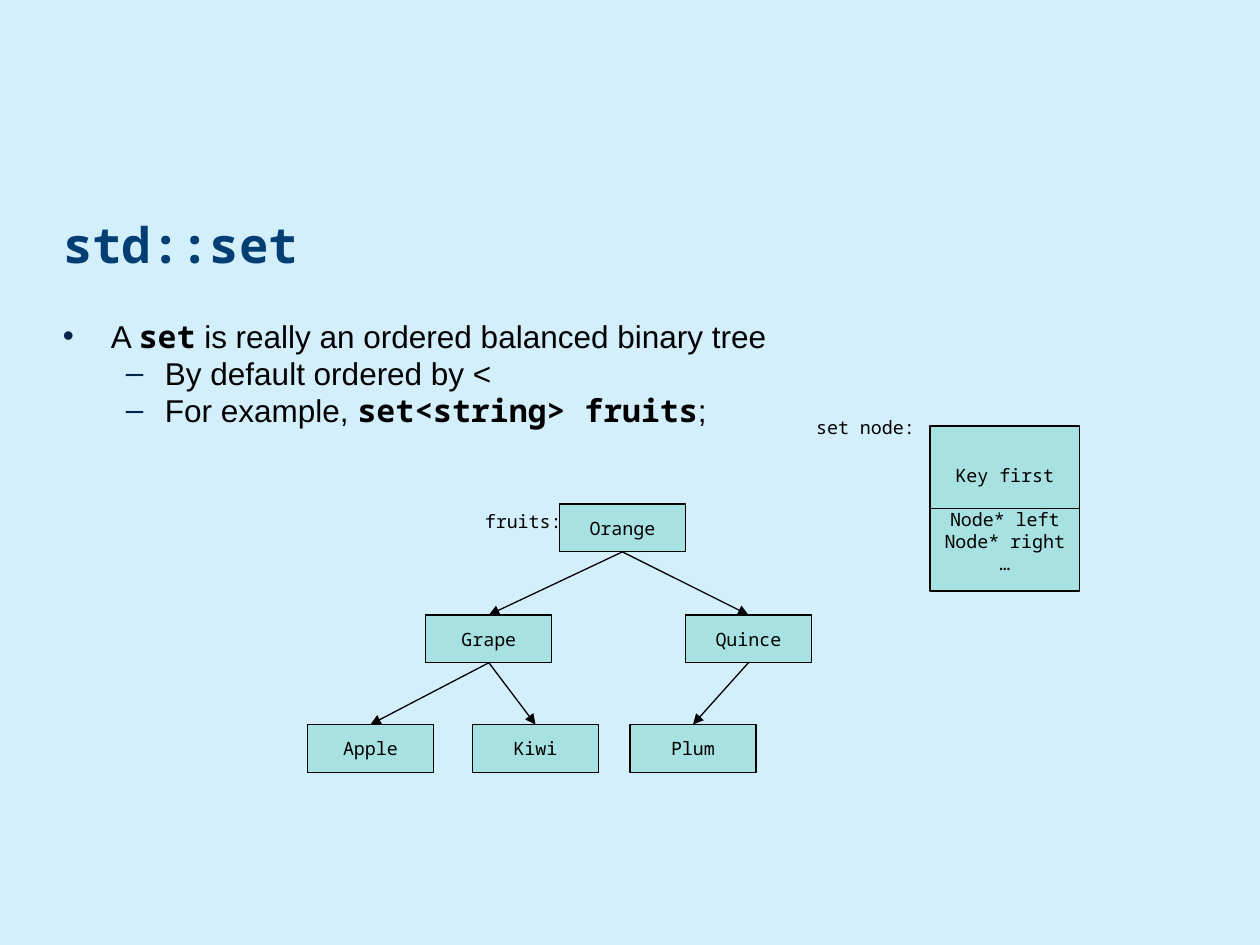
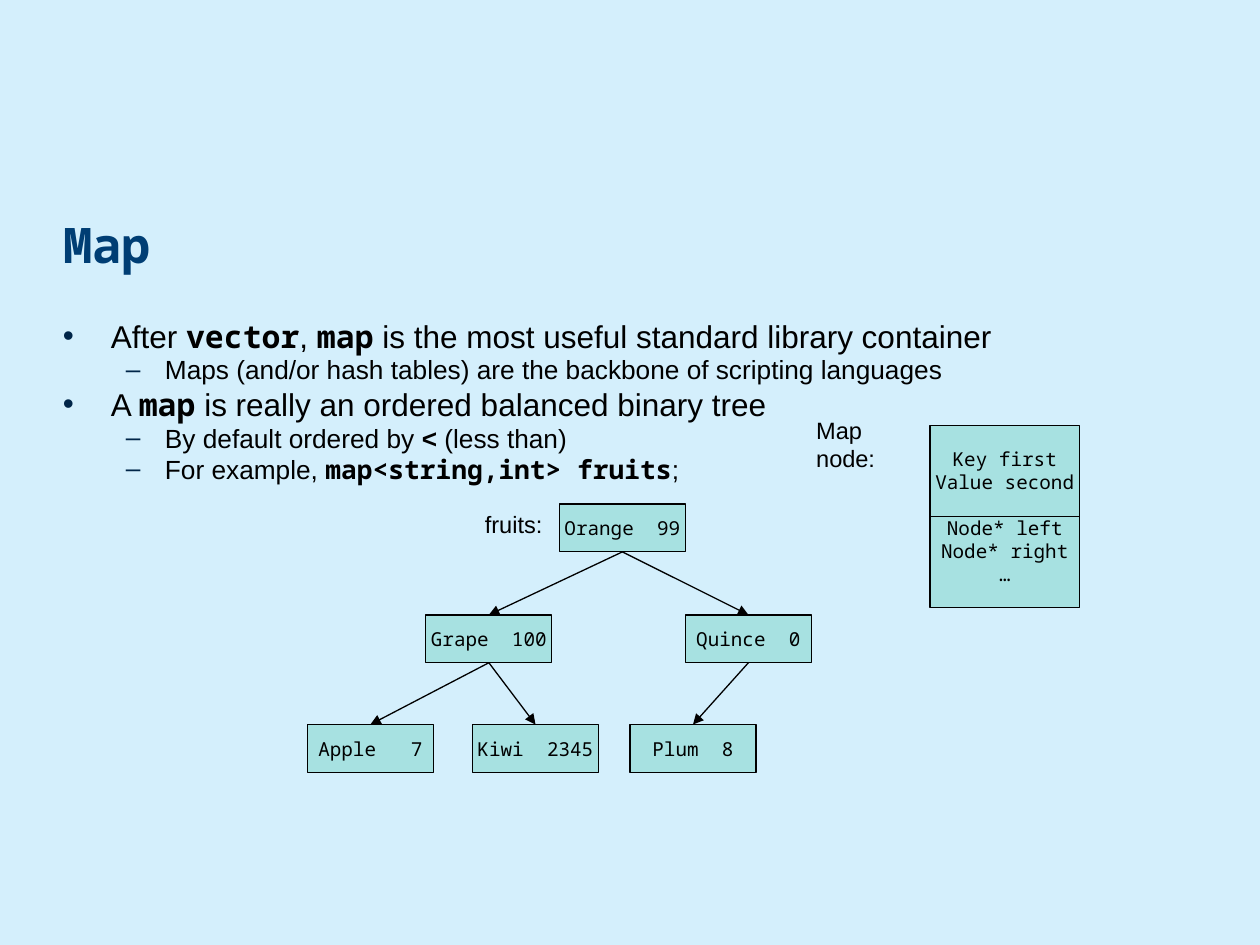
from lxml import etree
from pptx import Presentation
from pptx.dml.color import RGBColor
from pptx.enum.shapes import MSO_CONNECTOR, MSO_SHAPE
from pptx.enum.text import MSO_ANCHOR, MSO_AUTO_SIZE, PP_ALIGN
from pptx.oxml.ns import qn
from pptx.util import Inches, Pt

SKY, TEAL, NAVY, INK, BLACK = "D4EFFC", "A7E1E1", "003E74", "002548", "000000"
SANS, MONO = "Arial", "Noto Sans Mono"
MONO_ADVANCE = 0.6
TOP, LEFT, BOTTOM, RIGHT = 0, 1, 2, 3

PLAIN = {}
CODE = {"font": MONO, "bold": True}
STRONG = {"bold": True}

BULLETS = [("•", 0.38, 0.38), ("–", 0.81, 0.31)]
NODE_WIDTH, NODE_HEIGHT = 1, 0.38
TREE = {
    "Orange": (4.44, 4),
    "Plum": (5, 5.75),
    "Kiwi": (3.75, 5.75),
    "Apple": (2.44, 5.75),
    "Quince": (5.44, 4.88),
    "Grape": (3.38, 4.88),
}
BRANCHES = [
    ("Orange", "Grape"),
    ("Orange", "Quince"),
    ("Quince", "Plum"),
    ("Grape", "Kiwi"),
    ("Grape", "Apple"),
]
COUNTS = {
    "Orange": ("99", 2),
    "Plum": ("8", 2),
    "Kiwi": ("2345", 2),
    "Apple": ("7", 3),
    "Quince": ("0", 2),
    "Grape": ("100", 2),
}


def color(hex_string):
    return RGBColor.from_string(hex_string)


def write(paragraph, text, size, font=SANS, ink=BLACK, bold=False, spacing=0):
    run = paragraph.add_run()
    run.text = text
    run.font.size = Pt(size)
    run.font.name = font
    run.font.bold = bold
    run.font.color.rgb = color(ink)
    if spacing:
        run.font._element.set("spc", str(round(spacing * 100)))


def set_margins(frame, top=0):
    frame.margin_left = frame.margin_right = frame.margin_bottom = 0
    frame.margin_top = Inches(top)


def next_paragraph(frame, index):
    return frame.add_paragraph() if index else frame.paragraphs[0]


def add_titled_slide(prs, heading):
    slide = prs.slides.add_slide(prs.slide_layouts[5])
    title = slide.shapes.title
    title.left, title.top = Inches(0.5), Inches(1.63)
    title.width, title.height = Inches(9), Inches(0.56)
    frame = title.text_frame
    set_margins(frame, top=0.05)
    frame.vertical_anchor = MSO_ANCHOR.MIDDLE
    frame.paragraphs[0].alignment = PP_ALIGN.LEFT
    write(frame.paragraphs[0], heading, 28, ink=NAVY, **CODE)
    return slide


def set_bullet(paragraph, level):
    mark, margin, hanging = BULLETS[level]
    paragraph.level = level
    properties = paragraph._p.get_or_add_pPr()
    properties.set("marL", str(Inches(margin)))
    properties.set("indent", str(-Inches(hanging)))
    tint = etree.SubElement(properties, qn("a:buClr"))
    etree.SubElement(tint, qn("a:srgbClr"), val=INK)
    etree.SubElement(properties, qn("a:buFont"), typeface=SANS)
    etree.SubElement(properties, qn("a:buChar"), char=mark)


def add_points(slide, points):
    body = slide.shapes.add_textbox(Inches(0.5), Inches(2.57), Inches(9), Inches(3.99))
    frame = body.text_frame
    frame.word_wrap = True
    set_margins(frame)
    for index, (level, size, pieces) in enumerate(points):
        point = next_paragraph(frame, index)
        set_bullet(point, level)
        point.line_spacing = 0.8
        if index:
            point.space_before = Pt(round(size * 0.22, 1))
        for text, style in pieces:
            write(point, text, size, **style)


def add_box(slide, left, top, width, height):
    box = slide.shapes.add_shape(
        MSO_SHAPE.RECTANGLE, Inches(left), Inches(top), Inches(width), Inches(height))
    box.shadow.inherit = False
    box.fill.solid()
    box.fill.fore_color.rgb = color(TEAL)
    box.line.color.rgb = color(BLACK)
    box.line.width = Pt(0.75)
    box.text_frame.word_wrap = False
    box.text_frame.vertical_anchor = MSO_ANCHOR.MIDDLE
    box.text_frame.paragraphs[0].alignment = PP_ALIGN.CENTER
    return box


def add_label(slide, text, left, top, width, height, size, font):
    label = slide.shapes.add_textbox(
        Inches(left), Inches(top), Inches(width), Inches(height))
    frame = label.text_frame
    frame.word_wrap = True
    frame.auto_size = MSO_AUTO_SIZE.SHAPE_TO_FIT_TEXT
    write(frame.paragraphs[0], text, size, font=font)


def join(slide, start, start_side, end, end_side, arrow=False):
    link = slide.shapes.add_connector(MSO_CONNECTOR.STRAIGHT, 0, 0, 0, 0)
    link.begin_connect(start, start_side)
    link.end_connect(end, end_side)
    link.line.color.rgb = color(BLACK)
    link.line.width = Pt(0.75)
    if arrow:
        etree.SubElement(link.line._get_or_add_ln(), qn("a:tailEnd"), type="triangle")
    etree.SubElement(link._element.spPr, qn("a:effectLst"))


def add_tree(slide, size, counts):
    nodes = {}
    for fruit, (left, top) in TREE.items():
        nodes[fruit] = add_box(slide, left, top, NODE_WIDTH, NODE_HEIGHT)
        entry = nodes[fruit].text_frame.paragraphs[0]
        write(entry, fruit, size, font=MONO)
        if fruit in counts:
            count, gap = counts[fruit]
            write(entry, " ", size, font=MONO, spacing=(gap - 1) * size * MONO_ADVANCE)
            write(entry, count, size, font=MONO)
    for parent, child in BRANCHES:
        join(slide, nodes[parent], BOTTOM, nodes[child], TOP, arrow=True)


def add_node_layout(slide, data_fields, height, size, line_height, top_margin):
    record = add_box(slide, 7.38, 3.38, 1.19, height)
    frame = record.text_frame
    frame.margin_top = Inches(top_margin)
    link_fields = ["Node* left", "Node* right", "…"]
    for index, field in enumerate(data_fields + link_fields):
        line = next_paragraph(frame, index)
        line.alignment = PP_ALIGN.CENTER
        if index == len(data_fields):
            line.space_before = Pt(line_height)
        write(line, field, size, font=MONO)
    join(slide, record, LEFT, record, RIGHT)


def add_set_slide(prs):
    slide = add_titled_slide(prs, "std::set")
    add_points(slide, [
        (0, 18, [("A ", PLAIN), ("set", CODE),
                 (" is really an ordered balanced binary tree", PLAIN)]),
        (1, 18, [("By default ordered by <", PLAIN)]),
        (1, 18, [("For example, ", PLAIN), ("set<string> fruits", CODE), (";", PLAIN)]),
    ])
    add_tree(slide, 10.5, {})
    add_label(slide, "fruits:", 3.75, 4, 0.85, 0.29, 10.5, MONO)
    add_node_layout(slide, ["Key first"], 1.31, 10.5, 12.5, 0.22)
    add_label(slide, "set node:", 6.38, 3.25, 1.06, 0.29, 10.5, MONO)


def add_map_slide(prs):
    slide = add_titled_slide(prs, "Map")
    add_points(slide, [
        (0, 18, [("After ", PLAIN), ("vector", CODE), (", ", PLAIN), ("map", CODE),
                 (" is the most useful standard library container", PLAIN)]),
        (1, 15, [("Maps (and/or hash tables) are the backbone of scripting languages",
                  PLAIN)]),
        (0, 18, [("A ", PLAIN), ("map", CODE),
                 (" is really an ordered balanced binary tree", PLAIN)]),
        (1, 15, [("By default ordered by ", PLAIN), ("< ", STRONG),
                 ("(less than)", PLAIN)]),
        (1, 15, [("For example, ", PLAIN), ("map<string,int> fruits", CODE),
                 (";", PLAIN)]),
    ])
    add_tree(slide, 11, COUNTS)
    add_label(slide, "fruits:", 3.75, 4, 0.85, 0.33, 13.5, SANS)
    add_node_layout(slide, ["Key first", "Value second"], 1.44, 11, 13, 0.05)
    add_label(slide, "Map node:", 6.38, 3.25, 1.06, 0.56, 13.5, SANS)


def main():
    prs = Presentation()
    prs.slide_width, prs.slide_height = Inches(10), Inches(7.5)
    backdrop = prs.slide_master.background.fill
    backdrop.solid()
    backdrop.fore_color.rgb = color(SKY)
    add_set_slide(prs)
    add_map_slide(prs)
    prs.save("out.pptx")


if __name__ == "__main__":
    main()
